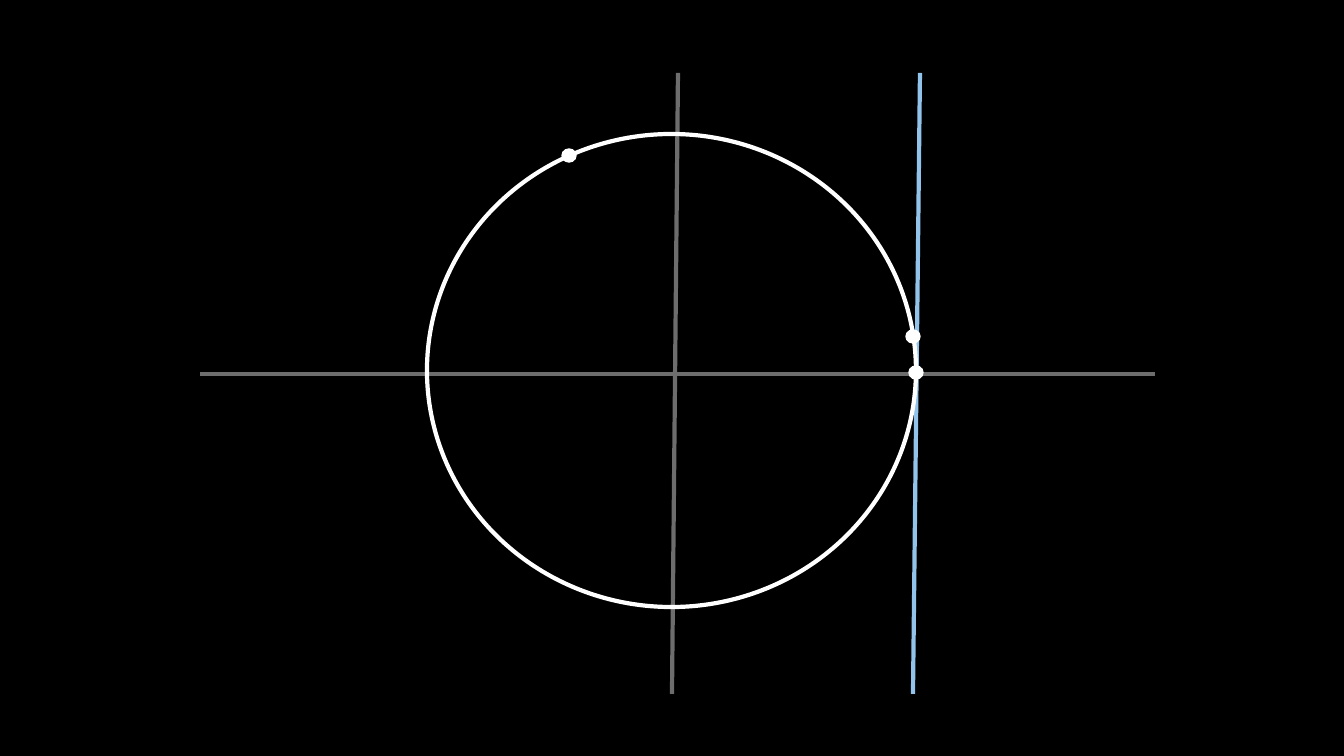
from dataclasses import dataclass

import pptx
import pptx.dml.color
import pptx.enum.shapes
import pptx.oxml
import pptx.oxml.ns
import pptx.util

SCALE = 914400 / 100.8


@dataclass(frozen=True)
class Theme:
    background: str = "000000"
    axis: str = "6D6D6D"
    tangent: str = "92C3EA"
    circle: str = "FFFFFF"
    stroke: int = 3
    dot_stroke: int = 1


THEME = Theme()


def px(n):
    return pptx.util.Emu(round(n * SCALE))


def rgb(color):
    return pptx.dml.color.RGBColor.from_string(color)


def set_line(s, color, width):
    s.line.color.rgb = rgb(color)
    s.line.width = pptx.util.Pt(width)


def add_line(slide, x1, y1, x2, y2, color):
    s = slide.shapes.add_connector(
        pptx.enum.shapes.MSO_CONNECTOR.STRAIGHT, px(x1), px(y1), px(x2), px(y2))
    set_line(s, color, THEME.stroke)
    pptx.oxml.ns.qn("a:effectLst")
    s.line._get_or_add_ln().addnext(
        pptx.oxml.parse_xml(f'<a:effectLst {pptx.oxml.ns.nsdecls("a")}/>'))
    return s


def add_ellipse(slide, x, y, w, h, stroke, filled):
    s = slide.shapes.add_shape(
        pptx.enum.shapes.MSO_SHAPE.OVAL, px(x), px(y), px(w), px(h))
    s.shadow.inherit = False
    if filled:
        s.fill.solid()
        s.fill.fore_color.rgb = rgb(THEME.circle)
    else:
        s.fill.background()
    set_line(s, THEME.circle, stroke)
    return s


def add_unit_circle(slide, left, top, width, height):
    bottom = top + height
    add_line(slide, left + 720, top, left + 713, bottom, THEME.tangent)
    add_line(slide, left + 478, top, left + 472, bottom, THEME.axis)
    add_line(slide, left + width, top + 301, left, top + 301, THEME.axis)
    add_ellipse(slide, left + 227, top + 61, 489, 473, THEME.stroke, False)
    for x, y in [(362, 76), (706, 257), (709, 293)]:
        add_ellipse(slide, left + x, top + y, 14, 13, THEME.dot_stroke, True)


def main():
    prs = pptx.Presentation()
    prs.slide_width, prs.slide_height = px(1344), px(756)
    slide = prs.slides.add_slide(prs.slide_layouts[6])
    slide.background.fill.solid()
    slide.background.fill.fore_color.rgb = rgb(THEME.background)
    add_unit_circle(slide, 200, 73, 955, 621)
    prs.save("out.pptx")


if __name__ == "__main__":
    main()
